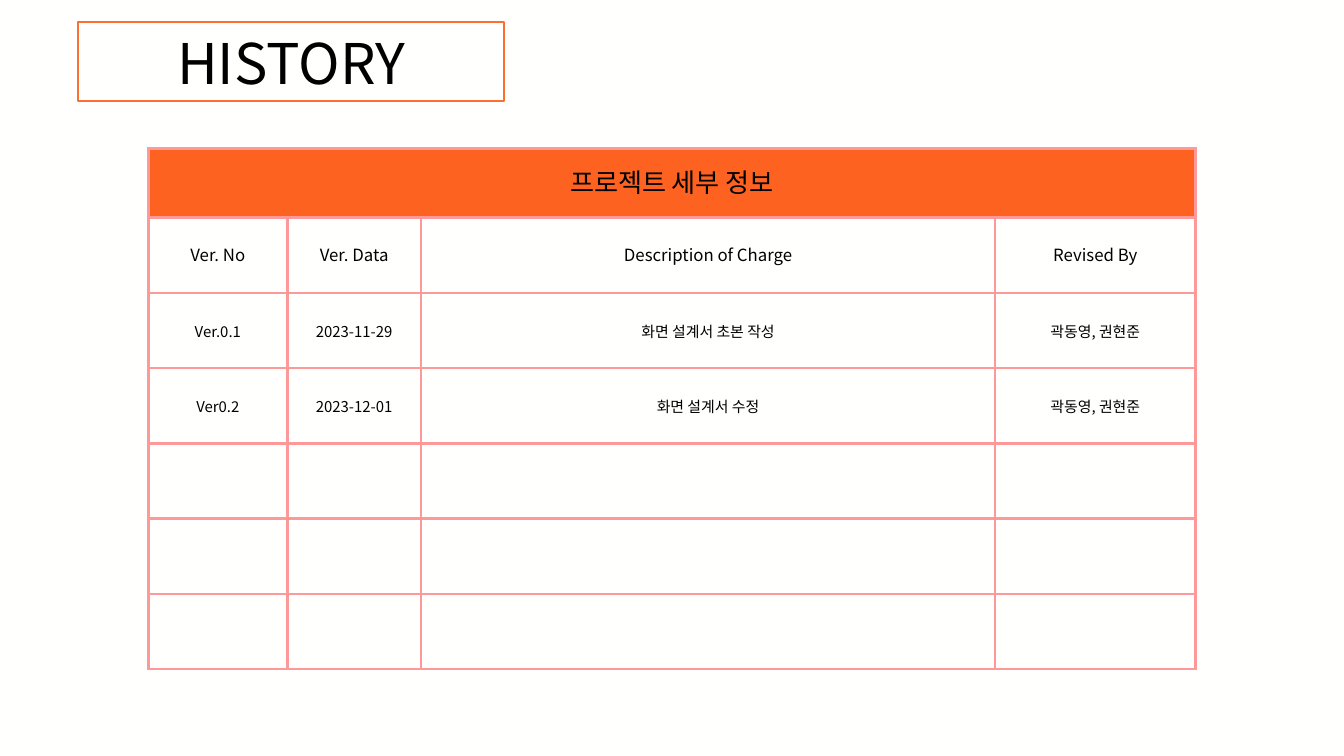
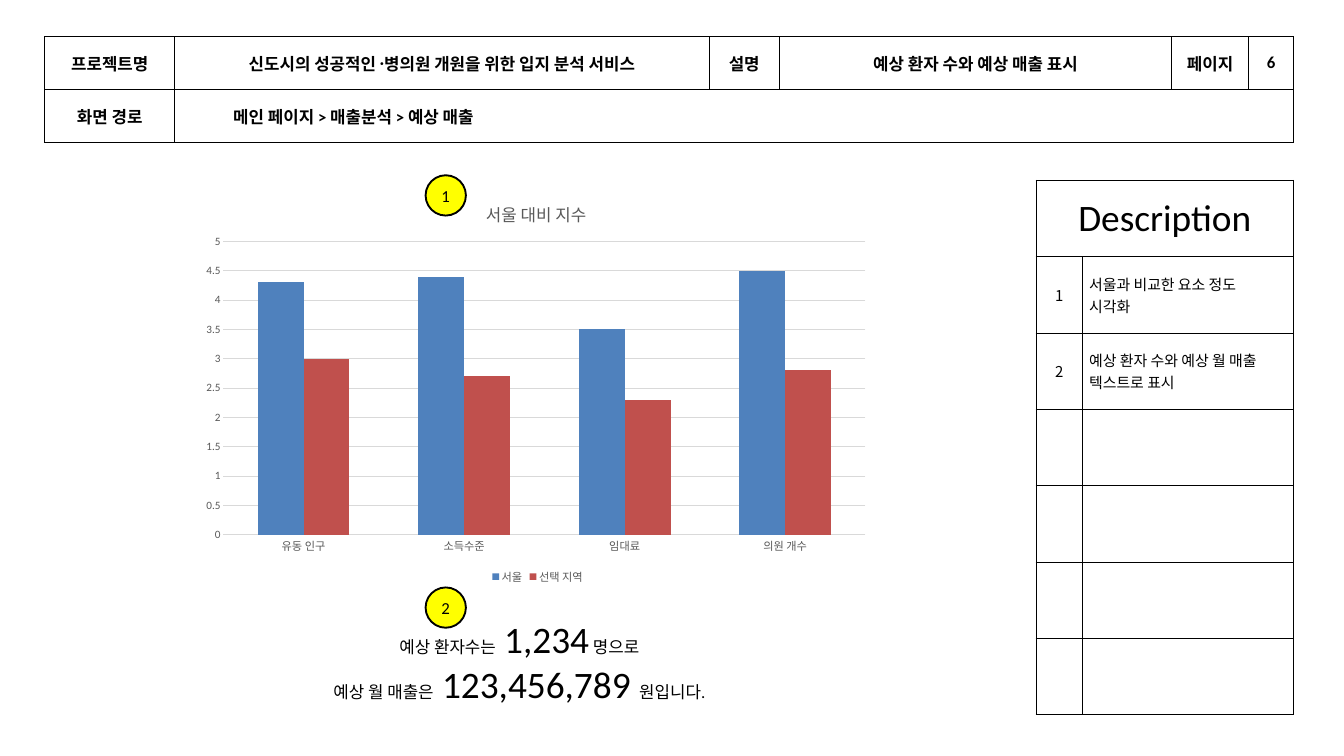
from lxml import etree
from pptx import Presentation
from pptx.chart.data import CategoryChartData
from pptx.dml.color import RGBColor
from pptx.enum.chart import XL_CHART_TYPE, XL_LEGEND_POSITION, XL_TICK_MARK
from pptx.enum.shapes import MSO_SHAPE
from pptx.enum.text import MSO_ANCHOR, PP_ALIGN
from pptx.oxml.ns import qn
from pptx.util import Inches, Pt

RECT, OVAL = MSO_SHAPE.RECTANGLE, MSO_SHAPE.OVAL
LEFT, CENTER = PP_ALIGN.LEFT, PP_ALIGN.CENTER
MIDDLE = MSO_ANCHOR.MIDDLE
COLUMNS = XL_CHART_TYPE.COLUMN_CLUSTERED
BOTTOM = XL_LEGEND_POSITION.BOTTOM
NO_TICK = XL_TICK_MARK.NONE

# Grid of 240 columns by 135 rows
WIDE, HIGH = 240, 135
BLACK, WHITE, GRAY, PALE = "000000", "FFFFFF", "595959", "D9D9D9"
ORANGE, RIM, PINK, YELLOW = "FD6220", "FD6E31", "FF9999", "FFFF00"
SANS, LATIN = "Noto Sans CJK KR", "Calibri"


def color(text):
    return RGBColor.from_string(text)


def grid(count):
    return Inches(count / 12)


def node(parent, tag, **attrs):
    return etree.SubElement(parent, qn(tag), attrs)


def place(holder, **shares):
    """Give a chart part a fixed spot, in shares of the chart."""
    layout = holder.find(qn("c:layout"))
    if layout is None:
        layout = etree.Element(qn("c:layout"))
        rich = holder.find(qn("c:tx"))
        if rich is None:
            holder.insert(0, layout)
        else:
            rich.addnext(layout)
    for child in list(layout):
        layout.remove(child)
    manual = node(layout, "c:manualLayout")
    if "w" in shares:
        node(manual, "c:layoutTarget", val="inner")
    for key in "xy":
        node(manual, f"c:{key}Mode", val="edge")
    for key, share in shares.items():
        node(manual, f"c:{key}", val=str(share))


class Deck:
    def __init__(self):
        self.file = Presentation()
        self.file.slide_width = grid(WIDE)
        self.file.slide_height = grid(HIGH)
        self.slide = None
        self.face = LATIN

    def page(self, back, face):
        self.slide = self.file.slides.add_slide(self.file.slide_layouts[6])
        fill = self.slide.background.fill
        fill.solid()
        fill.fore_color.rgb = color(back)
        self.face = face

    def style(self, font, size=None, ink=BLACK, bold=False, face=None):
        font.name = face or self.face
        font.bold = bold
        font.color.rgb = color(ink)
        if size:
            font.size = Pt(size)

    def text(self, frame, lines, size=18, align=CENTER, lead=None, **look):
        """Each line is a string or a list of (text, size) runs."""
        frame.word_wrap = True
        for i, line in enumerate(lines):
            para = frame.paragraphs[0] if i == 0 else frame.add_paragraph()
            para.alignment = align
            if lead:
                para.line_spacing = Pt(lead)
            plain = isinstance(line, str)
            self.style(para.font, size if plain else None, **look)
            for words, points in [(line, None)] if plain else line:
                run = para.add_run()
                run.text = words
                if points:
                    run.font.size = Pt(points)

    def shape(self, kind, box, lines, size=18, fill=None, line=None):
        item = self.slide.shapes.add_shape(kind, *map(grid, box))
        item.shadow.inherit = False
        if fill:
            item.fill.solid()
            item.fill.fore_color.rgb = color(fill)
        else:
            item.fill.background()
        if line:
            item.line.color.rgb = color(line)
            item.line.width = Pt(2)
        else:
            item.line.fill.background()
        item.text_frame.vertical_anchor = MIDDLE
        self.text(item.text_frame, lines, size)

    def badge(self, top, label):
        self.shape(OVAL, (76, top, 7.2, 7.2), [label], 18, YELLOW, BLACK)

    def table(self, left, top, cols, rows, edge, width):
        total = (sum(cols), sum(rows))
        item = self.slide.shapes.add_table(
            len(rows), len(cols), *map(grid, (left, top, *total)))
        table = item.table
        table.first_row = table.horz_banding = False
        for part, size in zip(table.columns, cols):
            part.width = grid(size)
        for part, size in zip(table.rows, rows):
            part.height = grid(size)
        for cell in table.iter_cells():
            cell.vertical_anchor = MIDDLE
            props = cell._tc.get_or_add_tcPr()
            for side in "LRTB":
                line = node(props, f"a:ln{side}", w=str(Pt(width)))
                node(node(line, "a:solidFill"), "a:srgbClr", val=edge)
            cell.fill.background()
        return table

    def cell(self, cell, lines, size, inset=None, fill=None, **look):
        if inset:
            (cell.margin_left, cell.margin_top, cell.margin_right,
             cell.margin_bottom) = map(Inches, inset)
        if fill:
            cell.fill.solid()
            cell.fill.fore_color.rgb = color(fill)
        self.text(cell.text_frame, lines, size, **look)

    def chart(self, box, title, names, series):
        data = CategoryChartData()
        data.categories = names
        for name, _, values in series:
            data.add_series(name, values)
        chart = self.slide.shapes.add_chart(
            COLUMNS, *map(grid, box), data).chart
        self.style(chart.font, 12, GRAY)
        # Title and legend
        chart.has_title = True
        frame = chart.chart_title.text_frame
        frame.text = title
        self.style(frame.paragraphs[0].font, 18, GRAY)
        place(chart.chart_title._element, x=0.42, y=0.04)
        chart.has_legend = True
        chart.legend.position = BOTTOM
        chart.legend.include_in_layout = False
        # Columns
        plot = chart.plots[0]
        plot.vary_by_categories = False
        plot.gap_width, plot.overlap = 150, 0
        for item, (_, tint, _) in zip(plot.series, series):
            item.format.fill.solid()
            item.format.fill.fore_color.rgb = color(tint)
        # Axes
        cats, vals = chart.category_axis, chart.value_axis
        for axis in (cats, vals):
            axis.major_tick_mark = axis.minor_tick_mark = NO_TICK
            self.style(axis.tick_labels.font, 12, GRAY)
        vals.minimum_scale, vals.maximum_scale, vals.major_unit = 0, 5, 0.5
        vals.format.line.fill.background()
        for line in (cats.format.line, vals.major_gridlines.format.line):
            line.color.rgb = color(PALE)
            line.width = Pt(0.75)
        area = chart._chartSpace.chart.plotArea
        place(area, x=0.04, y=0.15, w=0.94, h=0.72)

    def save(self):
        self.file.save("out.pptx")


def history(deck):
    deck.page("FFFFFE", SANS)
    table = deck.table(26.5, 26.5, [24.8, 23.9, 102.5, 35.8],
                       [12.36] + [13.44] * 6, PINK, 3)
    table.cell(0, 0).merge(table.cell(0, 3))
    deck.cell(table.cell(0, 0), ["프로젝트 세부 정보"], 28,
              (0.21, 0.39, 0.21, 0.21), ORANGE, lead=23.8)
    rows = [
        ("Ver. No", "Ver. Data", "Description of Charge", "Revised By"),
        ("Ver.0.1", "2023-11-29", "화면 설계서 초본 작성", "곽동영, 권현준"),
        ("Ver0.2", "2023-12-01", "화면 설계서 수정", "곽동영, 권현준"),
    ]
    for r, row in enumerate(rows, 1):
        for c, words in enumerate(row):
            deck.cell(table.cell(r, c), [words], 18 if r == 1 else 16,
                      [0.21] * 4, lead=23.8)
    deck.shape(RECT, (14, 4, 76, 14), ["HISTORY"], 60, line=RIM)


def sales(deck):
    deck.page(WHITE, LATIN)
    # Header band
    head = deck.table(8, 6.5, [23.2, 95.4, 12.6, 70, 13.8, 8],
                      [9.5] * 2, BLACK, 1)
    head.cell(1, 1).merge(head.cell(1, 5))
    top = ["프로젝트명", "신도시의 성공적인 병〮의원 개원을 위한 입지 분석 서비스",
           "설명", "예상 환자 수와 예상 매출 표시", "페이지", "6"]
    for c, words in enumerate(top):
        deck.cell(head.cell(0, c), [words], 18, fill=WHITE, bold=True)
    deck.cell(head.cell(1, 0), ["화면 경로"], 18, fill=WHITE, bold=True)
    deck.cell(head.cell(1, 1), ["메인 페이지 > 매출분석 > 예상 매출"], 18,
              (0.87, 0.05, 0.1, 0.05), WHITE, align=LEFT, bold=True)

    # Description panel
    panel = deck.table(185, 32.2, [8.3, 37.7], [13.63] * 7, BLACK, 1)
    panel.cell(0, 0).merge(panel.cell(0, 1))
    deck.cell(panel.cell(0, 0), ["Description"], 40)
    notes = [["서울과 비교한 요소 정도", "시각화"],
             ["예상 환자 수와 예상 월 매출 텍스트로 표시"]]
    for r, lines in enumerate(notes, 1):
        deck.cell(panel.cell(r, 0), [str(r)], 16, face=SANS)
        deck.cell(panel.cell(r, 1), lines, 16, align=LEFT, face=SANS)

    # Forecast text
    deck.shape(RECT, (11, 108.5, 163.5, 19), [
        [("예상 환자수는", 18), (" 1,234", 40), (" 명으로", 18)],
        [("예상 월 매출은", 18), (" 123,456,789 ", 40), ("원입니다.", 18)],
    ], fill=WHITE)

    # Index chart and markers
    deck.chart((35, 32.2, 122, 72.75), "서울 대비 지수",
               ["유동 인구", "소득수준", "임대료", "의원 개수"],
               [("서울", "4F81BD", (4.3, 4.4, 3.5, 4.5)),
                ("선택 지역", "C0504D", (3, 2.7, 2.3, 2.8))])
    deck.badge(31.3, "1")
    deck.badge(104.9, "2")


def main():
    deck = Deck()
    history(deck)
    sales(deck)
    deck.save()


if __name__ == "__main__":
    main()
